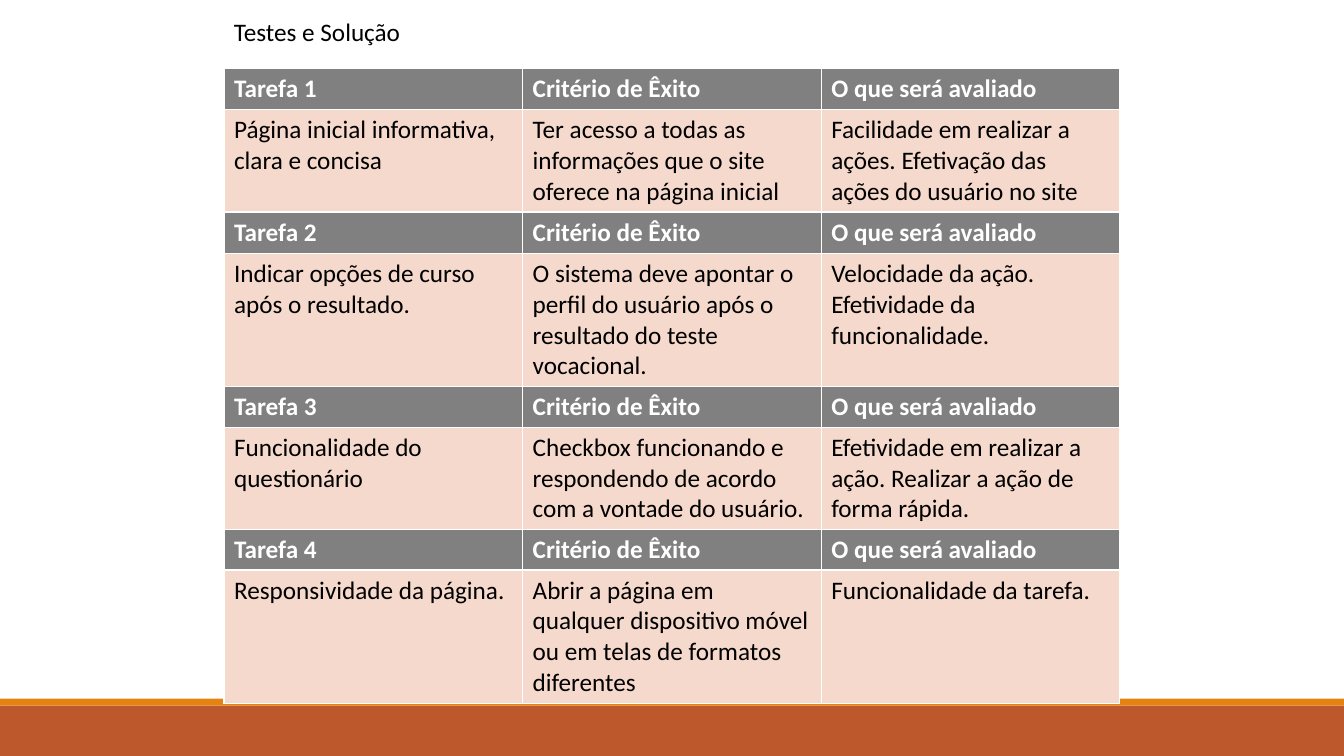
from dataclasses import dataclass

from pptx import Presentation
from pptx.dml.color import RGBColor
from pptx.enum import shapes
from pptx.util import Pt

WHITE = RGBColor(0xFF, 0xFF, 0xFF)
BLACK = RGBColor(0x00, 0x00, 0x00)
GRAY = RGBColor(0x80, 0x80, 0x80)
PEACH = RGBColor(0xF5, 0xD9, 0xCC)
RUST = RGBColor(0xBD, 0x58, 0x2C)
ORANGE = RGBColor(0xE4, 0x83, 0x12)

FONT = "Calibri"
SLIDE_W, SLIDE_H = 960, 540
LEFT, WIDTH = 160, 640
LINE_H, CELL_PAD = 22, 7.2


@dataclass
class Band:
    top: float
    height: float
    color: RGBColor


@dataclass
class Task:
    top: float
    lines: int  # text lines in the tallest body cell
    body: tuple[str, str, str]


BANDS = [Band(504, 36, RUST), Band(499, 5, ORANGE)]

TASKS = [
    Task(49, 3, (
        "Página inicial informativa, clara e concisa",
        "Ter acesso a todas as informações que o site oferece na página inicial",
        "Facilidade em realizar a ações. Efetivação das ações do usuário no site")),
    Task(152, 4, (
        "Indicar opções de curso após o resultado.",
        "O sistema deve apontar o perfil do usuário após o resultado do teste vocacional.",
        "Velocidade da ação. Efetividade da funcionalidade.")),
    Task(276, 3, (
        "Funcionalidade do questionário",
        "Checkbox funcionando e respondendo de acordo com a vontade do usuário.",
        "Efetividade em realizar a ação. Realizar a ação de forma rápida.")),
    Task(378, 4, (
        "Responsividade da página.",
        "Abrir a página em qualquer dispositivo móvel ou em telas de formatos diferentes",
        "Funcionalidade da tarefa.")),
]


def add_run(p, content: str, color: RGBColor, bold: bool = False) -> None:
    r = p.add_run()
    r.text = content
    r.font.name = FONT
    r.font.size = Pt(18)
    r.font.bold = bold
    r.font.color.rgb = color


def add_band(s, band: Band) -> None:
    sp = s.shapes.add_shape(shapes.MSO_SHAPE.RECTANGLE, 0, Pt(band.top),
                            Pt(SLIDE_W), Pt(band.height))
    sp.shadow.inherit = False
    sp.fill.solid()
    sp.fill.fore_color.rgb = band.color
    sp.line.fill.background()


def add_task(s, number: int, task: Task) -> None:
    heights = [LINE_H + CELL_PAD, task.lines * LINE_H + CELL_PAD]
    table = s.shapes.add_table(2, 3, Pt(LEFT), Pt(task.top),
                               Pt(WIDTH), Pt(sum(heights))).table
    # The default table style supplies the white cell borders
    table.horz_banding = False
    for col in table.columns:
        col.width = Pt(WIDTH / 3)
    header = (f"Tarefa {number}", "Critério de Êxito", "O que será avaliado")
    rows = [(header, GRAY, WHITE, True), (task.body, PEACH, BLACK, False)]
    for i, (texts, fill, color, bold) in enumerate(rows):
        table.rows[i].height = Pt(heights[i])
        for j, content in enumerate(texts):
            cell = table.cell(i, j)
            cell.fill.solid()
            cell.fill.fore_color.rgb = fill
            add_run(cell.text_frame.paragraphs[0], content, color, bold)


def main() -> None:
    prs = Presentation()
    prs.slide_width, prs.slide_height = Pt(SLIDE_W), Pt(SLIDE_H)
    s = prs.slides.add_slide(prs.slide_layouts[6])

    # Footer bands
    for band in BANDS:
        add_band(s, band)

    # One table per task
    for number, task in enumerate(TASKS, start=1):
        add_task(s, number, task)

    # Heading
    tf = s.shapes.add_textbox(Pt(LEFT), Pt(8), Pt(WIDTH), Pt(29)).text_frame
    tf.word_wrap = True
    add_run(tf.paragraphs[0], "Testes e Solução", BLACK)

    prs.save("out.pptx")


if __name__ == "__main__":
    main()
